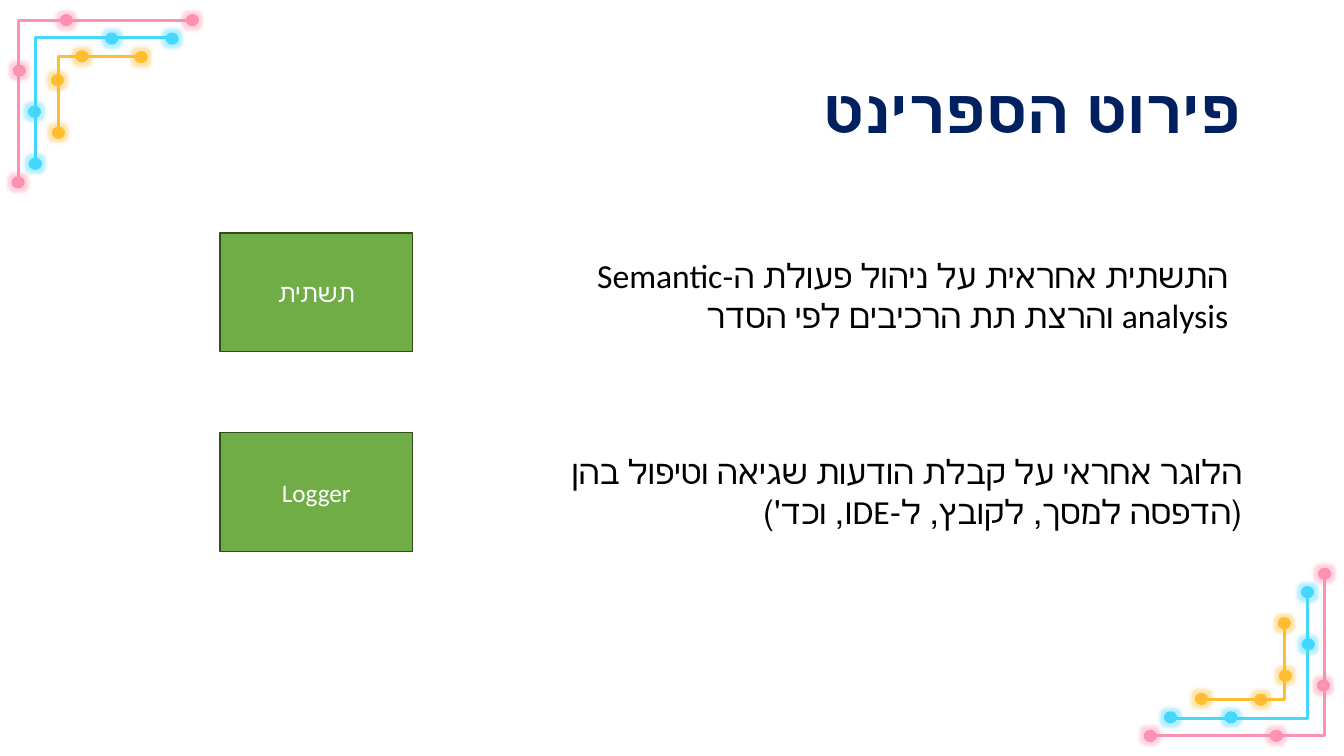
from dataclasses import dataclass

from lxml.etree import SubElement
from pptx import Presentation
from pptx.dml.color import RGBColor
from pptx.enum.lang import MSO_LANGUAGE_ID as Lang
from pptx.enum.shapes import MSO_SHAPE as Shape
from pptx.enum.text import MSO_ANCHOR as Anchor, MSO_AUTO_SIZE as Fit, PP_ALIGN as Align
from pptx.oxml.ns import qn
from pptx.util import Inches, Pt


@dataclass(frozen=True)
class Theme:
    """Colours, fonts and type sizes."""
    navy: str = "002060"
    black: str = "000000"
    white: str = "FFFFFF"
    green: str = "70AD47"
    edge: str = "314C1F"
    cyan: str = "45D8FF"
    pink: str = "FF91B0"
    blush: str = "FF93B2"
    gold: str = "FFBD30"
    head: str = "Lato"
    body: str = "Calibri"
    big: int = 44
    mid: int = 24
    small: int = 18
    wire: float = 2.25


T = Theme()
COLS, ROWS = 160, 90
CELL = Inches(1 / 12)
DOT = (1.2, 1.08)
WIRES = [
    (T.cyan, T.cyan, (4.2, 4.44), (15.96, 15.48),
     [(4.2, 19.5), (20.5, 4.6), (4.1, 13.3), (13.3, 4.6)]),
    (T.pink, T.blush, (2.16, 2.4), (20.04, 19.44),
     [(2.16, 21.7), (22.9, 2.4), (7.9, 2.4), (2.3, 8.4)]),
    (T.gold, T.gold, (6.96, 6.72), (10.44, 9.72),
     [(6.96, 15.8), (6.84, 9.55), (16.8, 6.8), (9.75, 6.7)]),
]
PARTS = [
    ("תשתית", "התשתית אחראית על ניהול פעולת ה-Semantic analysis והרצת תת הרכיבים לפי הסדר",
     (36.6, 2.04, 84.6)),
    ("Logger", "הלוגר אחראי על קבלת הודעות שגיאה וטיפול בהן (הדפסה למסך, לקובץ, ל-IDE, וכד')",
     (34.8, 1.56, 88.08)),
]


def grid(*cells):
    """Turn grid cells into slide lengths."""
    return [round(n * CELL) for n in cells]


def write(frame, text, size=T.mid, font=T.body, color=T.black, bold=False,
          align=Align.RIGHT, anchor=Anchor.TOP, space=None):
    """Fill a frame with one right-to-left paragraph."""
    frame.word_wrap = True
    frame.vertical_anchor = anchor
    para = frame.paragraphs[0]
    para.alignment = align
    para.line_spacing = space
    para._p.get_or_add_pPr().set("rtl", "1")
    run = para.add_run()
    run.text = text
    run.font.size = Pt(size)
    run.font.name = font
    run.font.bold = bold
    run.font.language_id = Lang.HEBREW
    run.font.color.rgb = RGBColor.from_string(color)


def paint(shape, line, width, fill=None):
    """Set the line and fill of a shape."""
    shape.shadow.inherit = False
    shape.line.color.rgb = RGBColor.from_string(line)
    shape.line.width = Pt(width)
    if fill:
        shape.fill.solid()
        shape.fill.fore_color.rgb = RGBColor.from_string(fill)
    else:
        shape.fill.background()


def glow(shape, color):
    """Give a shape a soft halo."""
    effects = shape._element.spPr.find(qn("a:effectLst"))
    halo = SubElement(effects, qn("a:glow"), rad=str(Pt(5)))
    tint = SubElement(halo, qn("a:srgbClr"), val=color)
    SubElement(tint, qn("a:alpha"), val="40000")


def corner(slide, x, y, way):
    """Draw the wires that run inward from a slide corner."""
    for line, fill, (left, top), (wide, high), dots in WIRES:
        bend = [(left, top + high), (left, top), (left + wide, top)]
        start, *rest = [grid(x + way * dx, y + way * dy) for dx, dy in bend]
        pen = slide.shapes.build_freeform(*start)
        pen.add_line_segments(rest, close=False)
        paint(pen.convert_to_shape(), line, T.wire)
        for dx, dy in dots:
            spot = (x + way * dx - DOT[0] / 2, y + way * dy - DOT[1] / 2)
            dot = slide.shapes.add_shape(Shape.OVAL, *grid(*spot, *DOT))
            paint(dot, line, T.wire, fill)
            glow(dot, line)


def title(slide, text, box):
    """Place the slide title."""
    head = slide.shapes.title
    head.left, head.top, head.width, head.height = grid(*box)
    write(head.text_frame, text, size=T.big, font=T.head, color=T.navy,
          bold=True, anchor=Anchor.MIDDLE, space=0.9)


def part(slide, label, text, note, box):
    """Place a labelled block and the note beside it."""
    x, y, *_ = box
    dx, dy, wide = note
    block = slide.shapes.add_shape(Shape.RECTANGLE, *grid(*box))
    paint(block, T.edge, 1, T.green)
    write(block.text_frame, label, size=T.small, color=T.white,
          align=Align.CENTER, anchor=Anchor.MIDDLE)
    area = slide.shapes.add_textbox(*grid(x + dx, y + dy, wide, 10.92))
    write(area.text_frame, text)
    area.text_frame.auto_size = Fit.SHAPE_TO_FIT_TEXT


def main():
    """Build and save the deck."""
    deck = Presentation()
    deck.slide_width, deck.slide_height = grid(COLS, ROWS)
    slide = deck.slides.add_slide(deck.slide_layouts[5])
    corner(slide, COLS - 0.15, ROWS, -1)
    corner(slide, 0, 0, 1)
    title(slide, "פירוט הספרינט", (11, 4.8, 138, 17.4))
    for row, (label, text, note) in enumerate(PARTS):
        part(slide, label, text, note, (26.2, 27.72 + row * 23.76, 22.92, 14.16))
    deck.save("out.pptx")


if __name__ == "__main__":
    main()
